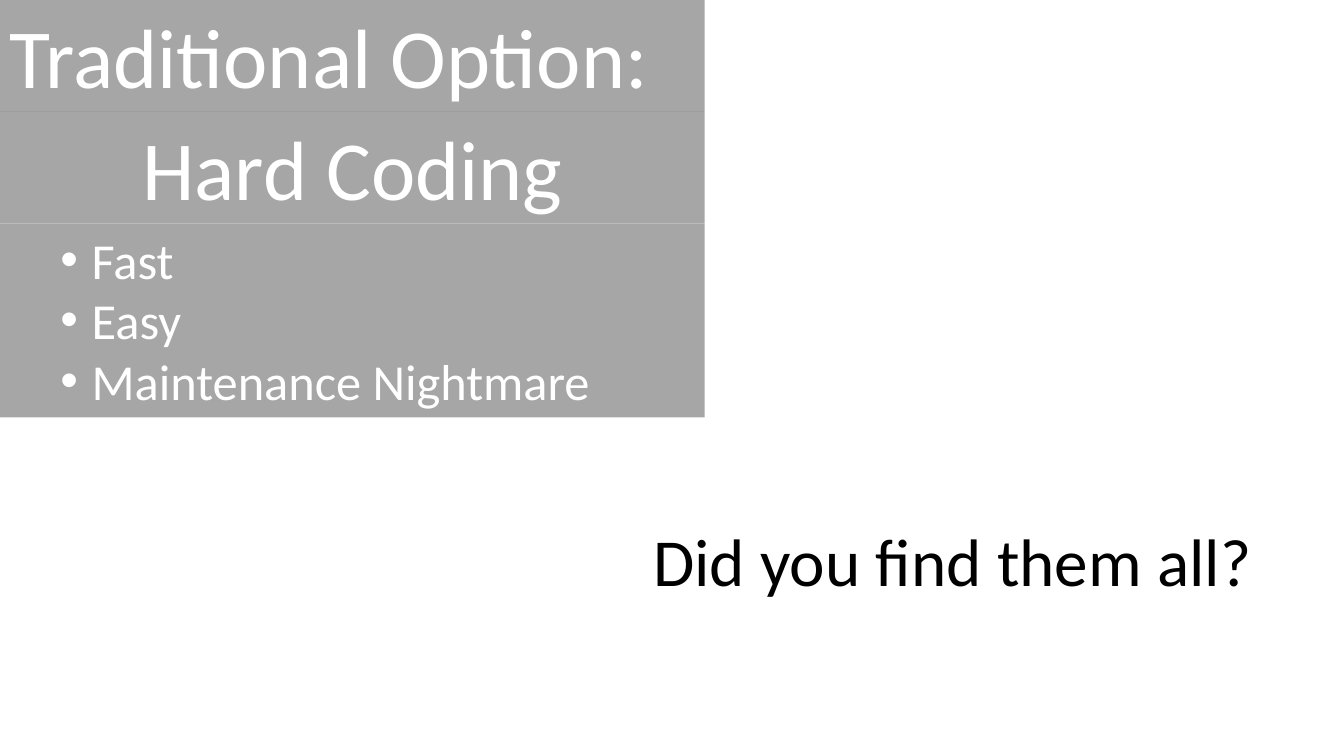
from lxml.etree import SubElement
from pptx import Presentation
from pptx.dml.color import RGBColor as RGB
from pptx.enum.shapes import MSO_SHAPE as SHAPE
from pptx.enum.text import MSO_ANCHOR as ANCHOR, MSO_AUTO_SIZE as FIT, PP_ALIGN as ALIGN
from pptx.oxml.ns import qn
from pptx.util import Pt

PX = 9144
INK = {"dark": "000000", "light": "FFFFFF"}


class Deck:
    """Hold the style and the current slide, and draw its elements."""

    def __init__(self, wide, high, font):
        self.prs = Presentation()
        self.prs.slide_width, self.prs.slide_height = wide * PX, high * PX
        self.slide = self.prs.slides.add_slide(self.prs.slide_layouts[6])
        self.font = font

    def letter(self, shape, text, size, ink, align=ALIGN.LEFT, dots=False):
        frame = shape.text_frame
        frame.text = text
        frame.word_wrap = True
        frame.auto_size = FIT.SHAPE_TO_FIT_TEXT
        frame.vertical_anchor = ANCHOR.TOP
        for para in frame.paragraphs:
            para.alignment = align
            if dots:
                self.dot(para)
            for run in para.runs:
                run.font.name = self.font
                run.font.size = Pt(size)
                run.font.color.rgb = RGB.from_string(INK[ink])

    def dot(self, para):
        para.level = 1
        props = para._p.get_or_add_pPr()
        props.set("marL", str(81 * PX))
        props.set("indent", str(-31 * PX))
        SubElement(props, qn("a:buFont")).set("typeface", "Arial")
        SubElement(props, qn("a:buChar")).set("char", "•")

    def band(self, box, text, size, **style):
        shape = self.slide.shapes.add_shape(SHAPE.RECTANGLE, *(n * PX for n in box))
        shape.shadow.inherit = False
        shape.line.fill.background()
        shape.fill.solid()
        shape.fill.fore_color.rgb = RGB.from_string(INK["dark"])
        tint = shape._element.spPr.find(qn("a:solidFill"))[0]
        SubElement(tint, qn("a:alpha")).set("val", "35000")
        self.letter(shape, text, size, "light", **style)

    def label(self, box, text, size):
        shape = self.slide.shapes.add_textbox(*(n * PX for n in box))
        self.letter(shape, text, size, "dark")

    def save(self):
        self.prs.save("out.pptx")


def main():
    deck = Deck(1333, 750, "Calibri")
    wide, row = 699, 111
    deck.band((0, 0, wide, row), "Traditional Option:", 60)
    deck.band((0, row, wide, row), "Hard Coding", 60, align=ALIGN.CENTER)
    deck.label((638, 510, 646, 91), "Did you find them all?", 48)
    perks = "\n".join(["Fast", "Easy", "Maintenance Nightmare"])
    deck.band((0, 2 * row, wide, 192), perks, 36, dots=True)
    deck.save()


if __name__ == "__main__":
    main()
